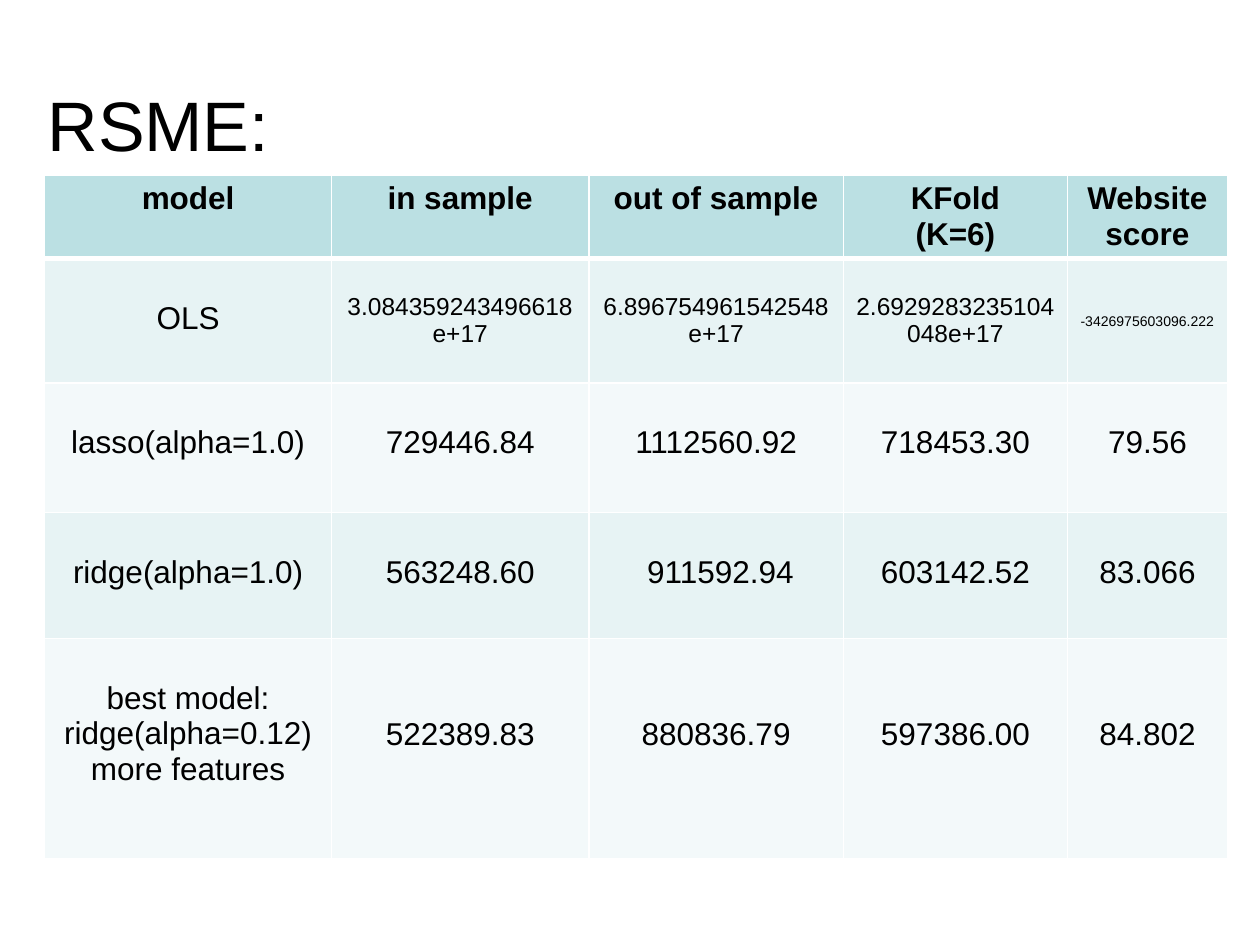
from lxml.etree import SubElement
from pptx import Presentation
from pptx.dml.color import RGBColor
from pptx.enum.text import MSO_ANCHOR, MSO_AUTO_SIZE, PP_ALIGN
from pptx.oxml.ns import qn
from pptx.util import Pt

COLORS = {
    "text": "000000",
    "border": "FFFFFF",
    "header": "BBE0E3",
    "odd": "E7F3F4",
    "even": "F3F9FA",
}
FONT = "Arial"
BODY_SIZE = 18
LINE_HEIGHT = 1.15
CELL_INSET = 3.6
COLUMN_WIDTHS = [164, 147, 145.5, 128, 91.5]
ROW_HEIGHTS = [42.5, 71, 74, 72, 126]
ROWS = [
    ["model", "in sample", "out of sample", "KFold\n(K=6)", "Website score"],
    ["OLS", "3.084359243496618e+17", "6.896754961542548e+17",
     "2.6929283235104048e+17", "-3426975603096.222"],
    ["lasso(alpha=1.0)", "729446.84", "1112560.92", "718453.30", "79.56"],
    ["ridge(alpha=1.0)", "563248.60", " 911592.94", "603142.52", "83.066"],
    ["best model:\nridge(alpha=0.12)\nmore features",
     "522389.83", "880836.79", "597386.00", "84.802"],
]
OLS_SIZES = [18, 14, 14, 14, 8]


def add_run(paragraph, text, size, bold=False):
    run = paragraph.add_run()
    run.text = text
    run.font.name = FONT
    run.font.size = Pt(size)
    run.font.bold = bold
    run.font.color.rgb = RGBColor.from_string(COLORS["text"])


def add_title(slide, text):
    title = slide.shapes.title
    title.left, title.top, title.width, title.height = Pt(20), Pt(43), Pt(210), Pt(55)
    frame = title.text_frame
    frame.word_wrap = True
    frame.auto_size = MSO_AUTO_SIZE.SHAPE_TO_FIT_TEXT
    frame.vertical_anchor = MSO_ANCHOR.TOP
    paragraph = frame.paragraphs[0]
    paragraph.alignment = PP_ALIGN.LEFT
    add_run(paragraph, text, 40)


def set_borders(cell, top, bottom):
    properties = cell._tc.get_or_add_tcPr()
    widths = {"a:lnL": 1, "a:lnR": 1, "a:lnT": top, "a:lnB": bottom}
    for position, (tag, width) in enumerate(widths.items()):
        line = SubElement(properties, qn(tag), w=str(Pt(width)))
        fill = SubElement(line, qn("a:solidFill"))
        SubElement(fill, qn("a:srgbClr"), val=COLORS["border"])
        properties.insert(position, line)


def fill_cell(cell, text, color, size, bold, lines_above):
    cell.fill.solid()
    cell.fill.fore_color.rgb = RGBColor.from_string(color)
    cell.vertical_anchor = MSO_ANCHOR.TOP
    cell.margin_top = Pt(round(CELL_INSET + lines_above * size * LINE_HEIGHT, 2))
    cell.margin_bottom = Pt(1)
    frame = cell.text_frame
    for index, line in enumerate(text.split("\n")):
        paragraph = frame.add_paragraph() if index else frame.paragraphs[0]
        paragraph.alignment = PP_ALIGN.CENTER
        add_run(paragraph, line, size, bold)


def count_lines_above(row, column, size):
    if row == 0:
        return 0
    if size == 8:
        return 3
    return 2 if row == len(ROWS) - 1 and column > 0 else 1


def add_score_table(slide):
    frame = slide.shapes.add_table(
        len(ROWS), len(COLUMN_WIDTHS), Pt(25.5), Pt(100),
        Pt(sum(COLUMN_WIDTHS)), Pt(sum(ROW_HEIGHTS)))
    table = frame.table
    for column, width in zip(table.columns, COLUMN_WIDTHS):
        column.width = Pt(width)
    for row, height in zip(table.rows, ROW_HEIGHTS):
        row.height = Pt(height)
    for row, texts in enumerate(ROWS):
        color = COLORS["header" if row == 0 else "odd" if row % 2 else "even"]
        for column, text in enumerate(texts):
            cell = table.cell(row, column)
            size = OLS_SIZES[column] if row == 1 else BODY_SIZE
            fill_cell(cell, text, color, size, row == 0,
                      count_lines_above(row, column, size))
            set_borders(cell, 3 if row == 1 else 1, 3 if row == 0 else 1)


def main():
    presentation = Presentation()
    presentation.slide_width = Pt(720)
    presentation.slide_height = Pt(540)
    slide = presentation.slides.add_slide(presentation.slide_layouts[5])
    add_score_table(slide)
    add_title(slide, "RSME:")
    presentation.save("out.pptx")


if __name__ == "__main__":
    main()
